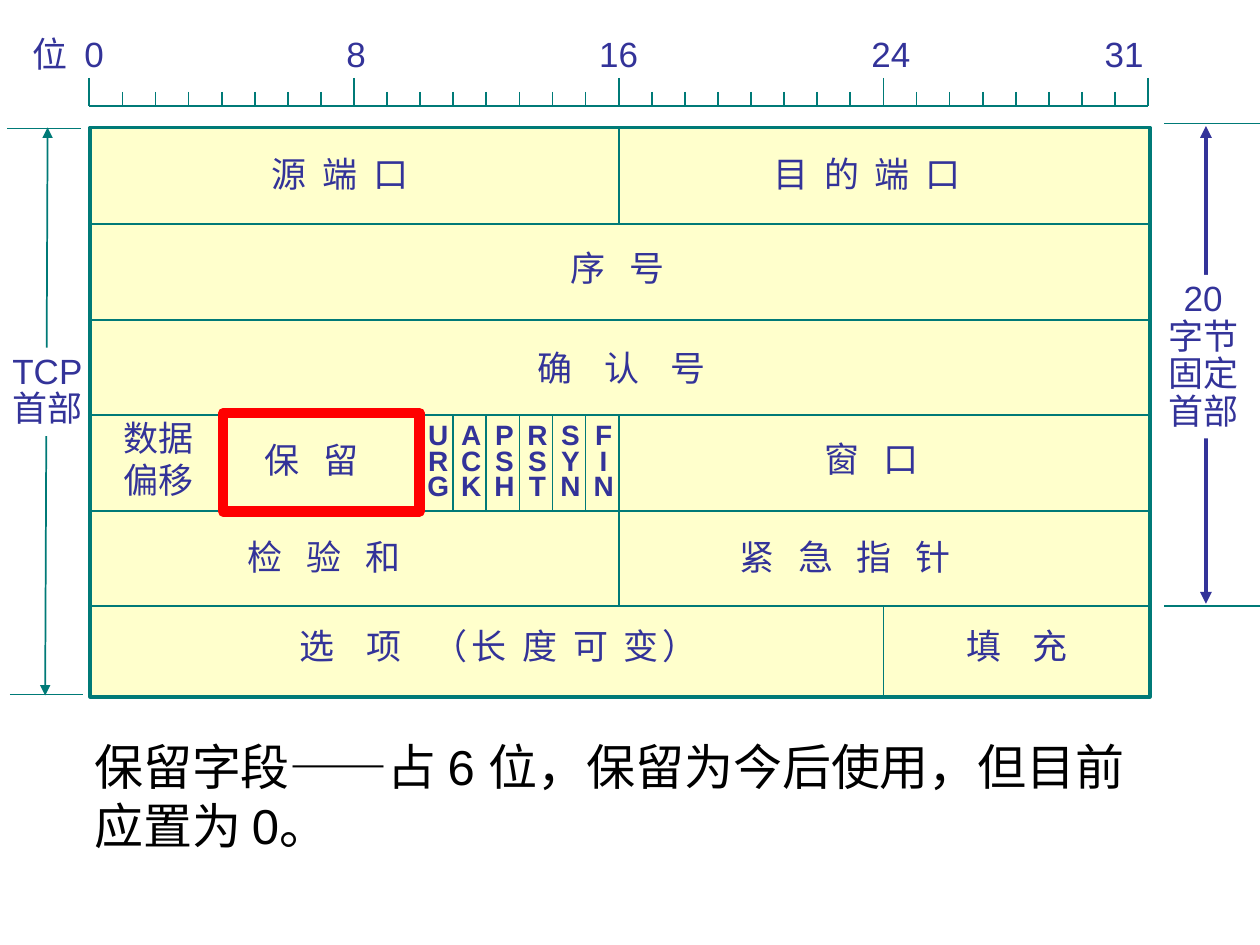
import pptx
import pptx.dml.color
import pptx.enum.shapes
import pptx.enum.text
import pptx.oxml.ns
import pptx.util
from dataclasses import dataclass
from lxml import etree

Cm, Pt = pptx.util.Cm, pptx.util.Pt
Align = pptx.enum.text.PP_ALIGN
TEAL, NAVY, CREAM = "007A77", "333399", "FFFFCC"
WHITE, RED, BLACK = "FFFFFF", "FF0000", "000000"

# Header grid, in centimetres
LEFT, RIGHT, BIT = 1.82, 23.18, 0.667
TOP, FOOT = 2.57, 14.05
FIRST, PITCH = 4.52, 1.925


@dataclass
class Label:
    x: float
    y: float
    w: float
    h: float
    rows: tuple  # each row is a list of (text, letter gap in points)
    size: float = 20
    color: str = NAVY
    bold: bool = False
    align: Align = Align.LEFT
    lead: float = 1.0
    fill: str = ""
    wrap: bool = False
    tabs: tuple = ()


def rgb(code: str):
    return pptx.dml.color.RGBColor.from_string(code)


def bit_x(bit: int) -> float:
    return 1.8 + bit * BIT


def row_y(row: int) -> float:
    return FIRST + (row - 1) * PITCH


def add_tag(parent, name: str, **attrs):
    return etree.SubElement(parent, pptx.oxml.ns.qn(name), **attrs)


def draw_line(slide, x1: float, y1: float, x2: float, y2: float,
              color: str = TEAL, width: float = 1, heads: bool = False):
    kind = pptx.enum.shapes.MSO_CONNECTOR.STRAIGHT
    line = slide.shapes.add_connector(kind, Cm(x1), Cm(y1), Cm(x2), Cm(y2))
    line.line.color.rgb = rgb(color)
    line.line.width = Pt(width)
    props = line._element.spPr
    if heads:
        for end in ("a:headEnd", "a:tailEnd"):
            add_tag(props.find(pptx.oxml.ns.qn("a:ln")), end, type="triangle")
    add_tag(props, "a:effectLst")


def draw_box(slide, x: float, y: float, w: float, h: float,
             color: str, width: float, fill: str = ""):
    kind = pptx.enum.shapes.MSO_SHAPE.RECTANGLE
    box = slide.shapes.add_shape(kind, Cm(x), Cm(y), Cm(w), Cm(h))
    box.shadow.inherit = False
    box.line.color.rgb = rgb(color)
    box.line.width = Pt(width)
    if fill:
        box.fill.solid()
        box.fill.fore_color.rgb = rgb(fill)
    else:
        box.fill.background()


def draw_label(slide, item: Label):
    box = slide.shapes.add_textbox(Cm(item.x), Cm(item.y), Cm(item.w), Cm(item.h))
    if item.fill:
        box.fill.solid()
        box.fill.fore_color.rgb = rgb(item.fill)
    frame = box.text_frame
    frame.word_wrap = item.wrap
    for i, row in enumerate(item.rows):
        para = frame.paragraphs[0] if i == 0 else frame.add_paragraph()
        para.alignment = item.align
        para.line_spacing = item.lead
        if item.tabs:
            stops = add_tag(para._p.get_or_add_pPr(), "a:tabLst")
            for stop in item.tabs:
                add_tag(stops, "a:tab", pos=str(Cm(stop)), algn="ctr")
        font = para.font
        font.name, font.size, font.bold = "Arial", Pt(item.size), item.bold
        font.color.rgb = rgb(item.color)
        for text, gap in row:
            run = para.add_run()
            run.text = text
            if gap:
                run._r.get_or_add_rPr().set("spc", str(int(gap * 100)))


def plain(*texts: str) -> tuple:
    return tuple([(text, 0)] for text in texts)


def spaced(text: str, gap: float) -> tuple:
    return ([(text, gap)],)


NEAR, MID, FAR = 2.25, 4.5, 6.75  # letter gaps
FIELDS = [
    Label(5.23, 2.95, 4.04, 1.09, spaced("源 端 口", NEAR)),
    Label(15.34, 2.95, 5.46, 1.09, spaced("目 的 端 口", NEAR)),
    Label(11.25, 4.85, 3.84, 1.09, spaced("序 号", MID)),
    Label(10.59, 6.86, 5.11, 1.09, spaced("确 认 号", FAR)),
    Label(2.24, 8.28, 1.93, 1.93, plain("数据", "偏移")),
    Label(5.08, 8.71, 2.97, 1.09, spaced("保 留", MID)),
    Label(16.38, 8.69, 2.97, 1.09, spaced("窗 口", MID)),
    Label(4.75, 10.67, 4.75, 1.09, spaced("检 验 和", MID)),
    Label(14.66, 10.67, 6.5, 1.09, spaced("紧 急 指 针", MID)),
    Label(5.79, 12.47, 8.89, 1.09, ([("选 项 ", FAR), ("（长 度 可 变）", NEAR)],)),
    Label(19.23, 12.47, 3.48, 1.09, spaced("填 充", FAR)),
]
FLAGS = ["URG", "ACK", "PSH", "RST", "SYN", "FIN"]


def main():
    deck = pptx.Presentation()
    deck.slide_width, deck.slide_height = Cm(25.4), Cm(19.05)
    slide = deck.slides.add_slide(deck.slide_layouts[6])

    # Height arrows with their labels
    draw_line(slide, 0.96, 2.57, 0.91, 14.02, heads=True)
    draw_label(slide, Label(0, 7.01, 1.93, 1.78, plain("TCP", "首部"),
                            lead=0.9, fill=WHITE))
    draw_line(slide, 24.31, 2.54, 24.31, 12.17, NAVY, 2.25, True)
    draw_label(slide, Label(23.29, 5.54, 1.93, 3.3,
                            plain("20", "字节", "固定", "首部"),
                            align=Align.CENTER, lead=0.9, fill=WHITE))
    for x, y, end in ((23.47, 2.49, 25.4), (23.47, 12.22, 25.4),
                      (0.15, 2.59, 1.63), (0.2, 14, 1.68)):
        draw_line(slide, x, y, end, y)

    # Header frame, rows and column borders
    draw_box(slide, LEFT, TOP, RIGHT - LEFT, FOOT - TOP, TEAL, 2, CREAM)
    for row in range(1, 6):
        draw_line(slide, LEFT, row_y(row), RIGHT, row_y(row))
    draw_line(slide, bit_x(16), TOP, bit_x(16), row_y(1))
    draw_line(slide, bit_x(16), row_y(3), bit_x(16), row_y(5))
    draw_line(slide, bit_x(24), row_y(5), bit_x(24), FOOT)
    for bit in (4, *range(10, 16)):
        draw_line(slide, bit_x(bit), row_y(3), bit_x(bit), row_y(4))

    # Bit ruler
    draw_line(slide, bit_x(0), 2.13, bit_x(32), 2.13)
    for bit in range(33):
        draw_line(slide, bit_x(bit), 1.85 if bit % 8 else 1.57, bit_x(bit), 2.13)
    draw_label(slide, Label(0.41, 0.53, 23.14, 1.09,
                            plain("位\t0\t8\t16\t24\t31"),
                            tabs=(1.24, 6.52, 11.81, 17.3, 22)))

    # Field names and flags
    for field in FIELDS:
        draw_label(slide, field)
    for i, flag in enumerate(FLAGS):
        mid = bit_x(10 + i) + BIT / 2 + 0.03
        draw_label(slide, Label(mid - 0.47, 8.46, 0.94, 1.78, plain(*flag), 16,
                                bold=True, align=Align.CENTER, lead=0.75))

    # Note and highlight
    note = "保留字段——占 6 位，保留为今后使用，但目前应置为 0。"
    draw_label(slide, Label(1.65, 14.73, 22.05, 2.64, plain(note), 28, BLACK,
                            wrap=True))
    draw_box(slide, 4.5, 8.33, 3.96, 1.98, RED, 6)

    deck.save("out.pptx")


if __name__ == "__main__":
    main()
